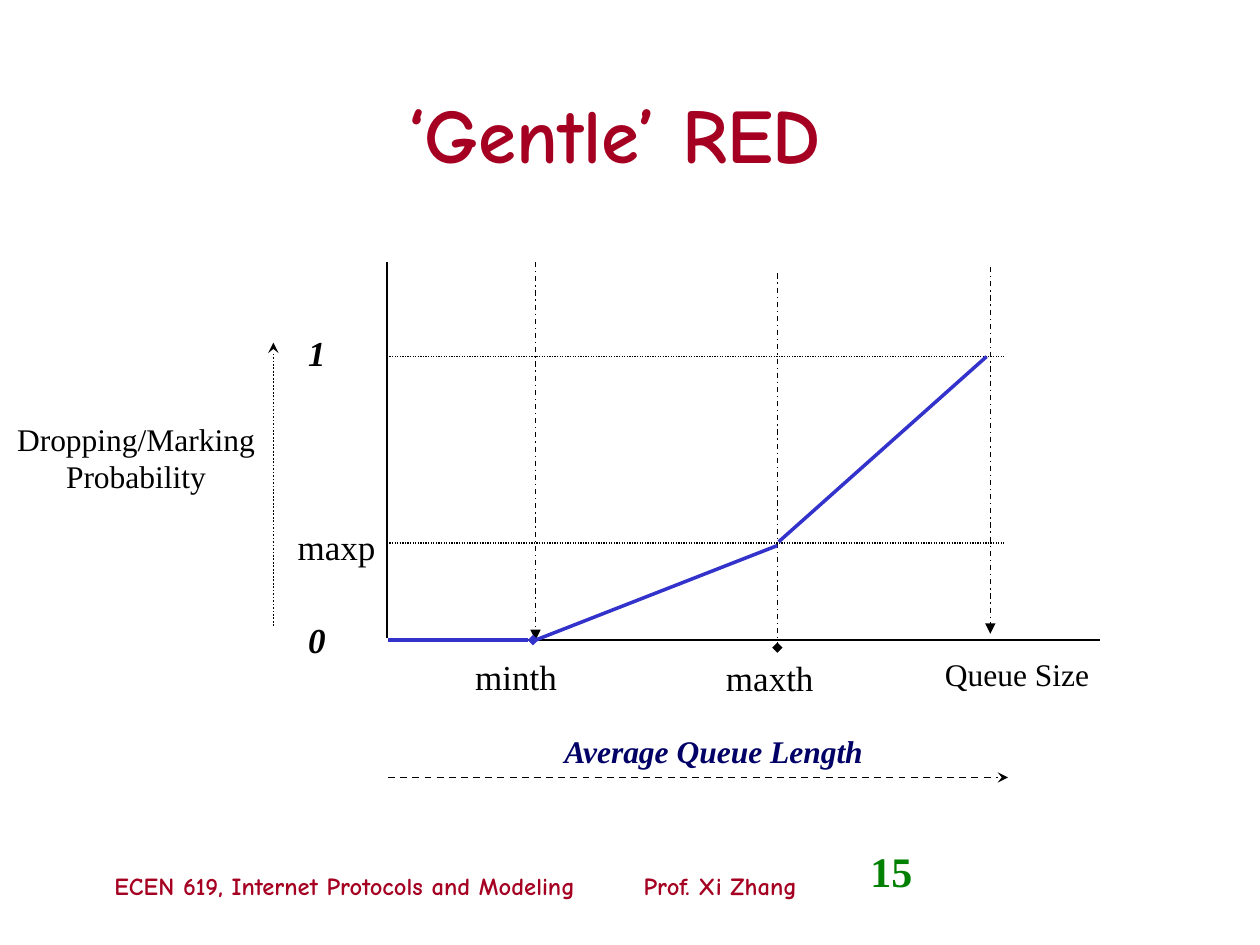
from lxml import etree
from pptx import Presentation
from pptx import util as u
from pptx.dml.color import RGBColor
from pptx.enum import dml, shapes, text
from pptx.oxml import ns

COLORS = {"crimson": "A50021", "green": "008000", "black": "000000",
          "blue": "3333CC", "navy": "000066"}
SERIF = "Times New Roman"
COMIC = "Comic Neue"
ALIGN = text.PP_ALIGN
DASH = dml.MSO_LINE


def add_text(slide, box, content, size=20, color="black", font=SERIF, bold=False,
             italic=False, align=ALIGN.CENTER, middle=False, wrap=True,
             inset=(0.1, 0.05), tab=None):
    """Add one formatted paragraph in a box given in inches."""
    shape = slide.shapes.add_textbox(*(u.Inches(value) for value in box))
    frame = shape.text_frame
    frame.word_wrap = wrap
    frame.margin_left = frame.margin_right = u.Inches(inset[0])
    frame.margin_top = frame.margin_bottom = u.Inches(inset[1])
    anchors = text.MSO_ANCHOR
    frame.vertical_anchor = anchors.MIDDLE if middle else anchors.TOP
    paragraph = frame.paragraphs[0]
    paragraph.alignment = align
    if tab is not None:
        properties = paragraph._p.get_or_add_pPr()
        tabs = etree.SubElement(properties, ns.qn("a:tabLst"))
        etree.SubElement(tabs, ns.qn("a:tab"), pos=str(u.Inches(tab)), algn="l")
    run = paragraph.add_run()
    run.text = content
    run.font.name = font
    run.font.size = u.Pt(size)
    run.font.bold = bold
    run.font.italic = italic
    run.font.color.rgb = RGBColor.from_string(COLORS[color])


def add_line(slide, start, end, width=0.75, color="black", dash=None, head=None):
    """Add a straight line between two points given in inches."""
    connector = slide.shapes.add_connector(
        shapes.MSO_CONNECTOR.STRAIGHT,
        *(u.Inches(value) for value in (*start, *end)))
    connector.line.width = u.Pt(width)
    connector.line.color.rgb = RGBColor.from_string(COLORS[color])
    if dash is not None:
        connector.line.dash_style = dash
    properties = connector.element.spPr
    if head:
        outline = properties.find(ns.qn("a:ln"))
        etree.SubElement(outline, ns.qn("a:tailEnd"), type=head)
    etree.SubElement(properties, ns.qn("a:effectLst"))


def add_title(slide, box):
    """Place the slide title."""
    add_text(slide, box, "‘Gentle’ RED", size=44, color="crimson", font=COMIC,
             bold=True, middle=True)


def add_footer(slide, box):
    """Place the course line and the slide number."""
    left, top, width, height = box
    add_text(slide, (left, top + 0.16, 5.62, 0.42),
             "ECEN 619, Internet Protocols and Modeling\tProf. Xi Zhang", size=14,
             color="crimson", font=COMIC, bold=True, align=ALIGN.LEFT,
             middle=True, wrap=False, tab=4.2)
    add_text(slide, (left + width - 2.08, top, 2.08, height), "15", size=24,
             color="green", bold=True, align=ALIGN.LEFT)


def add_plot(slide, box):
    """Draw the axes, guides and drop probability curve."""
    left, top, width, height = box
    right, bottom = left + width, top + height
    minimum, maximum, limit = left + 1.18, left + 3.1, left + 4.79
    certain, partial = top + 0.75, top + 2.23

    add_line(slide, (minimum - 0.42, bottom), (right, bottom), 1.25)
    add_line(slide, (left, top), (left, bottom - 0.02), 1.25)
    for level in (partial, certain):
        add_line(slide, (left, level), (left + 4.9, level), dash=DASH.ROUND_DOT)
    guides = [(maximum, 0.09, 0.06, "diamond"), (limit, 0.04, -0.05, "triangle"),
              (minimum, 0, 0, "triangle")]
    for across, above, below, head in guides:
        add_line(slide, (across, top + above), (across, bottom + below),
                 dash=DASH.DASH_DOT, head=head)
    segments = [((left + 0.01, bottom), (minimum - 0.02, bottom), "diamond"),
                ((minimum, bottom), (maximum, partial + 0.02), None),
                ((maximum + 0.01, partial - 0.01), (limit - 0.03, certain), None)]
    for start, end, head in segments:
        add_line(slide, start, end, 2, "blue", head=head)


def add_vertical_labels(slide, box):
    """Place the probability caption, its arrow and the level names."""
    left, top, width, height = box
    for content, offset in (("1", 0), ("0", 2.28)):
        add_text(slide, (left + 2.02, top + offset, 0.83, 0.44), content,
                 bold=True, italic=True)
    add_text(slide, (left, top + 0.75, 2, 0.6), "Dropping/Marking Probability",
             size=18, inset=(0, 0))
    add_text(slide, (left + width - 1.65, top + 1.59, 1.65, 0.38), "maxp",
             align=ALIGN.RIGHT, inset=(0, 0))
    add_line(slide, (left + 2.09, top + height - 0.33), (left + 2.09, top + 0.14),
             1, dash=DASH.ROUND_DOT, head="stealth")


def add_horizontal_labels(slide, box):
    """Place the threshold names, the queue caption and its arrow."""
    left, top, width, height = box
    add_text(slide, (left, top, 2.61, 0.38), "minth", inset=(0, 0))
    add_text(slide, (left + 2.04, top + 0.01, 2.56, 0.38), "maxth", inset=(0, 0))
    add_text(slide, (left + width - 2, top, 2, 0.3), "Queue Size", size=18,
             align=ALIGN.LEFT, inset=(0, 0))
    add_text(slide, (left + 0.37, top + 0.56, 5.01, 0.4), "Average Queue Length",
             size=18, color="navy", bold=True, italic=True)
    arrow = top + height
    add_line(slide, (left + 0.29, arrow), (left + 5.21, arrow), 1,
             dash=DASH.DASH, head="stealth")


def main():
    """Build and save the slide."""
    presentation = Presentation()
    presentation.slide_width = u.Inches(10)
    presentation.slide_height = u.Inches(7.5)
    slide = presentation.slides.add_slide(presentation.slide_layouts[6])
    add_footer(slide, (0.81, 6.66, 8.08, 0.5))
    add_title(slide, (0.51, 0.44, 8.74, 1.22))
    add_plot(slide, (3.07, 2.08, 5.66, 3))
    add_vertical_labels(slide, (0.08, 2.58, 2.9, 2.72))
    add_horizontal_labels(slide, (2.79, 5.2, 6.71, 0.97))
    presentation.save("out.pptx")


if __name__ == "__main__":
    main()
